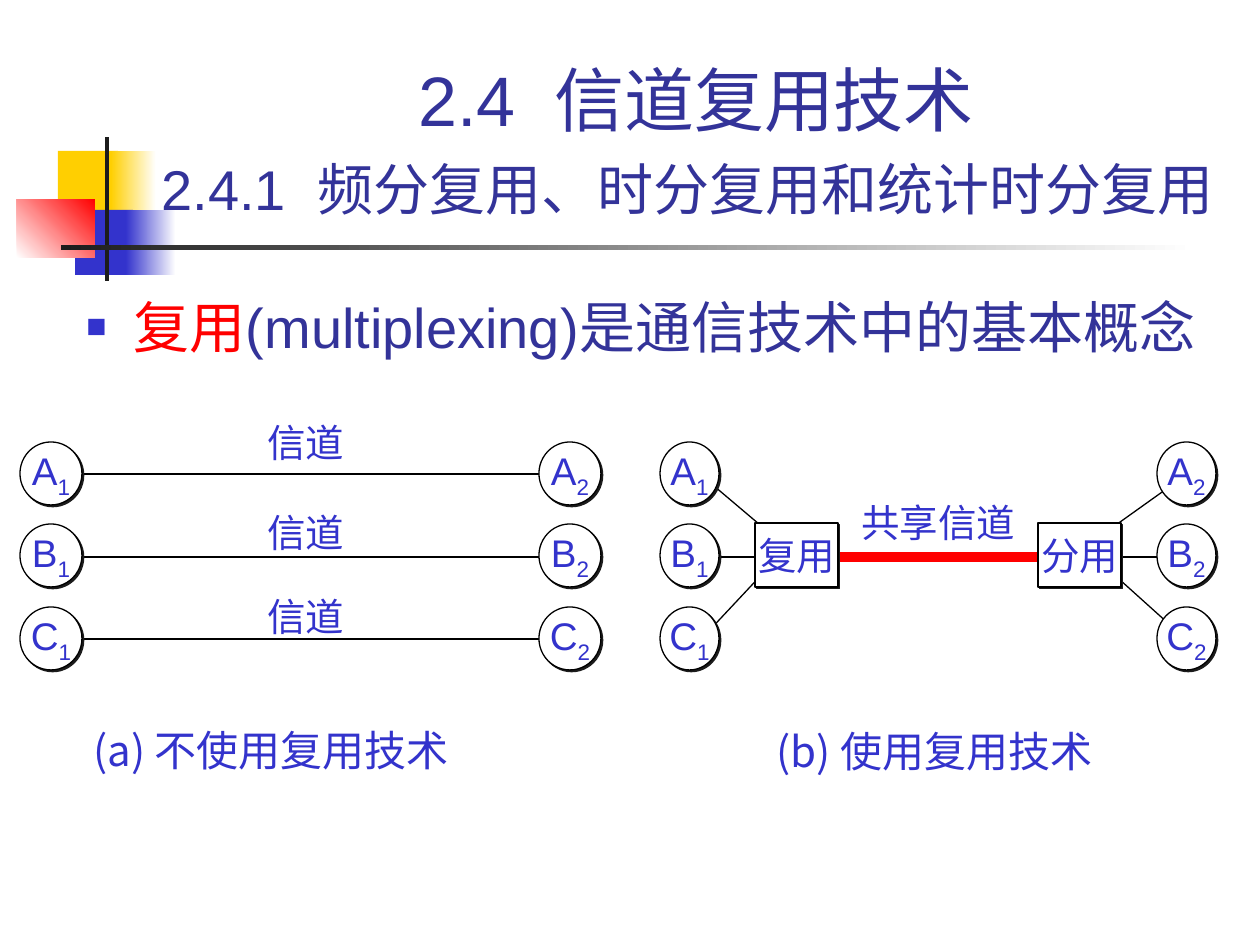
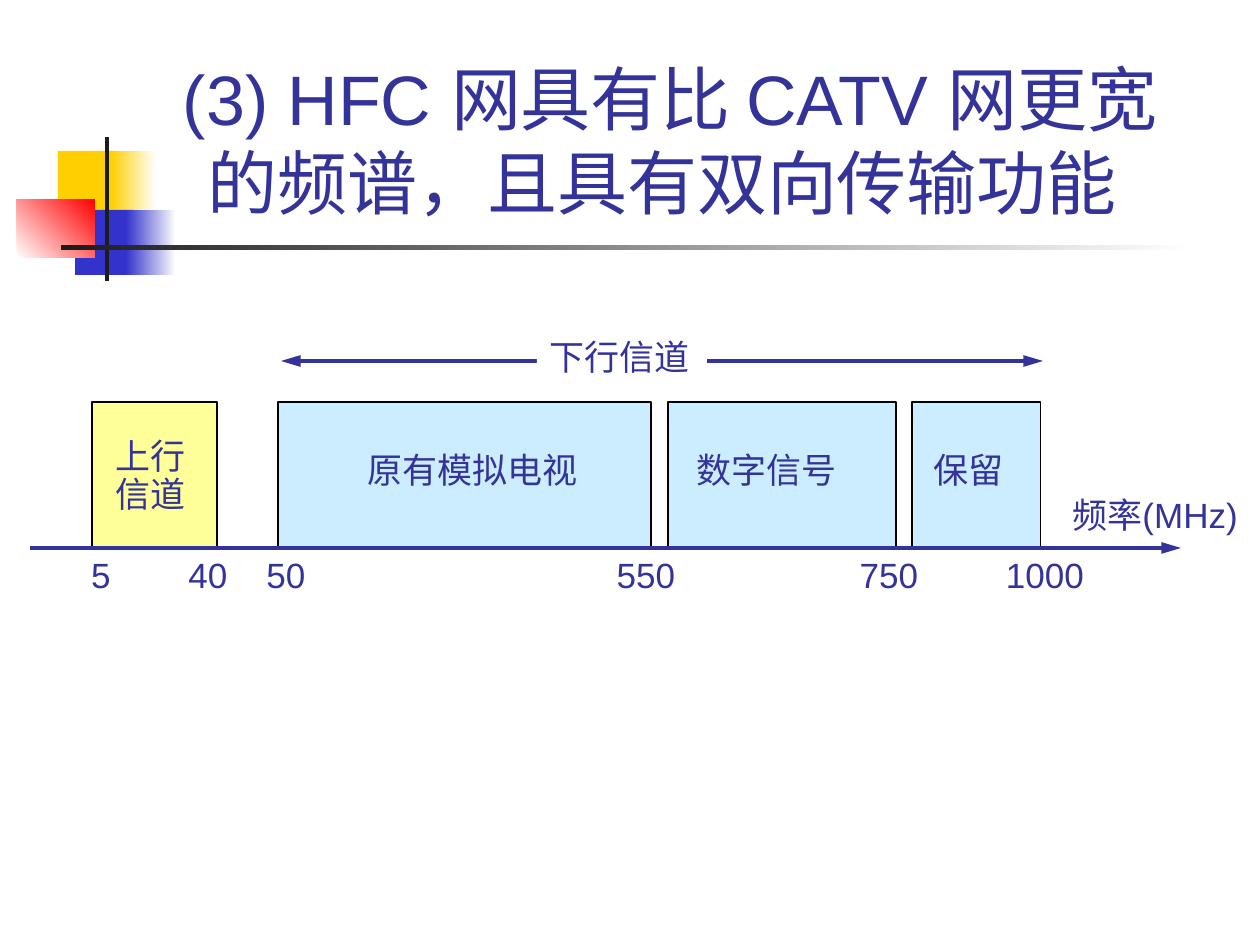
import pptx
import pptx.util
import pptx.dml.color
import pptx.enum.shapes
import pptx.enum.text
import pptx.oxml
import pptx.oxml.ns
from lxml import etree

PX = 914400 // 126
COLORS = {
    "navy": "333399", "blue": "3333CC", "yellow": "FFCF01", "red": "FF0000",
    "ink": "1C1C1C", "black": "000000", "white": "FFFFFF",
    "upstream": "FFFF99", "downstream": "CCECFF",
}
RGB = {name: pptx.dml.color.RGBColor.from_string(code) for name, code in COLORS.items()}
LATIN, CHINESE = "Arial", "Noto Sans CJK SC"
SHAPE = pptx.enum.shapes.MSO_SHAPE
ALIGN = pptx.enum.text.PP_ALIGN
ANCHOR = pptx.enum.text.MSO_ANCHOR
AUTO = pptx.enum.text.MSO_AUTO_SIZE
qn = pptx.oxml.ns.qn


def write(shape, lines, size, color, align=ALIGN.LEFT, anchor=ANCHOR.TOP,
          wrap=False, auto=AUTO.SHAPE_TO_FIT_TEXT, font=LATIN):
    """Each line is a list of (text, changes) spans."""
    frame = shape.text_frame
    frame_format = {
        "word_wrap": wrap, "auto_size": auto, "vertical_anchor": anchor,
        "margin_left": 91440, "margin_right": 91440,
        "margin_top": 45720, "margin_bottom": 45720,
    }
    for name, value in frame_format.items():
        setattr(frame, name, value)
    for index, spans in enumerate(lines):
        para = frame.paragraphs[0] if index == 0 else frame.add_paragraph()
        para.alignment = align
        for text, changes in spans:
            if text == "\n":
                para.add_line_break()
                continue
            span = para.add_run()
            span.text = text
            span.font.size = pptx.util.Pt(changes.get("size", size))
            span.font.name = font
            span.font.color.rgb = RGB[changes.get("color", color)]
            properties = span.font._element
            etree.SubElement(properties, qn("a:ea")).set("typeface", CHINESE)
            if "baseline" in changes:
                properties.set("baseline", changes["baseline"])


def draw_line(page, start, end, color="black", width=0.75, arrows=()):
    line = page.shapes.add_connector(
        pptx.enum.shapes.MSO_CONNECTOR.STRAIGHT, *[value * PX for value in start + end])
    line.line.color.rgb = RGB[color]
    line.line.width = pptx.util.Pt(width)
    for arrow in arrows:
        head = etree.SubElement(line.line._get_or_add_ln(), qn(arrow))
        head.set("type", "triangle")
        head.set("len", "lg")
    etree.SubElement(line._element.spPr, qn("a:effectLst"))


deck = pptx.Presentation()
deck.slide_width, deck.slide_height = pptx.util.Inches(10), pptx.util.Inches(7.5)
layout = deck.slide_layouts[5]

# Titles
titles = [
    ((117, 29, 1158, 202), [("2.4  信道复用技术", {}), ("\n", {}),
                            ("2.4.1  频分复用、时分复用和统计时分复用", {"size": 32}), (" ", {})]),
    ((159, 55, 1022, 175), [("(3) HFC 网具有比 CATV 网更宽的频谱，且具有双向传输功能 ", {})]),
]
pages = []
for place, spans in titles:
    page = deck.slides.add_slide(layout)
    title = page.shapes.title
    title.left, title.top, title.width, title.height = [value * PX for value in place]
    write(title, [spans], 40, "navy", ALIGN.CENTER, ANCHOR.BOTTOM, True, AUTO.NONE)
    pages.append(page)
multiplexing, spectrum = pages

# Shared corner ornament, kept on the layout
ornament = [
    ((58, 151, 60, 66), ["yellow"], 0),
    ((111, 151, 45, 66), ["yellow", "white"], 0),
    ((75, 210, 58, 65), ["blue"], 0),
    ((126, 210, 50, 65), ["blue", "white"], 0),
    ((17, 199, 78, 59), ["white", "red"], 45),
    ((105, 137, 4, 144), ["ink"], 0),
    ((61, 245, 1134, 5), ["ink", "white"], 0),
]
for index, (place, colors, angle) in enumerate(ornament):
    block = multiplexing.shapes.add_shape(SHAPE.RECTANGLE, *[value * PX for value in place])
    block.shadow.inherit = False
    block.line.fill.background()
    if len(colors) == 1:
        block.fill.solid()
        block.fill.fore_color.rgb = RGB[colors[0]]
    else:
        block.fill.gradient()
        block.fill.gradient_angle = angle
        for stop, color in zip(block.fill.gradient_stops, colors):
            stop.color.rgb = RGB[color]
    block._element.nvSpPr.cNvPr.set("id", str(100 + index))
    layout.shapes._spTree.insert(2 + index, block._element)

# Slide 1: bullet
body = multiplexing.shapes.add_textbox(74 * PX, 286 * PX, 1142 * PX, 567 * PX)
properties = body.text_frame.paragraphs[0]._p.get_or_add_pPr()
properties.set("marL", "342900")
properties.set("indent", "-342900")
bullet_color = etree.SubElement(properties, qn("a:buClr"))
etree.SubElement(bullet_color, qn("a:srgbClr")).set("val", COLORS["blue"])
for tag, name, value in [("a:buSzPct", "val", "60000"), ("a:buFont", "typeface", LATIN),
                         ("a:buChar", "char", "■")]:
    etree.SubElement(properties, qn(tag)).set(name, value)
write(body, [[("复用", {"color": "red"}), ("(multiplexing)是通信技术中的基本概念", {})]],
      32, "navy", wrap=True, auto=AUTO.NONE)

# Slide 1: channels
for y in (474, 557, 639):
    draw_line(multiplexing, (82, y), (550, y))
draw_line(multiplexing, (718, 557), (1168, 557))
draw_line(multiplexing, (825, 557), (1038, 557), "red", 6)
for node_x, box_x in ((707, 766), (1179, 1109)):
    for node_y, box_y in ((480, 530), (633, 570)):
        draw_line(multiplexing, (node_x, node_y), (box_x, box_y))

# Slide 1: stations and multiplexers
nodes = []
for x, width, digit in ((20, 62, "1"), (539, 62, "2"), (660, 59, "1"), (1157, 59, "2")):
    for letter, y in zip("ABC", (442, 524, 607)):
        nodes.append((SHAPE.OVAL, (x, y, width, 63),
                      [(letter, {}), (digit, {"baseline": "-25000"})]))
for x, label in ((755, "复用"), (1038, "分用")):
    nodes.append((SHAPE.RECTANGLE, (x, 523, 83, 64), [(label, {})]))
for kind, place, spans in nodes:
    node = multiplexing.shapes.add_shape(kind, *[value * PX for value in place])
    node.fill.solid()
    node.fill.fore_color.rgb = RGB["white"]
    node.line.color.rgb = RGB["black"]
    node.line.width = pptx.util.Pt(0.75)
    node.shadow.inherit = False
    shadow = etree.SubElement(node._element.spPr.find(qn("a:effectLst")), qn("a:outerShdw"))
    for name, value in {"dist": "17961", "dir": "2700000", "algn": "ctr"}.items():
        shadow.set(name, value)
    etree.SubElement(shadow, qn("a:srgbClr")).set("val", COLORS["ink"])
    write(node, [spans], 22, "blue", ALIGN.CENTER, ANCHOR.MIDDLE, auto=AUTO.NONE)

# Slide 1: labels and captions
labels = [((255, y, 106, 59), "信道", 22) for y in (413, 503, 587)]
labels += [
    ((849, 493, 184, 59), "共享信道", 22),
    ((81, 718, 430, 63), "(a) 不使用复用技术", 24),
    ((764, 719, 370, 63), "(b) 使用复用技术", 24),
]
for place, text, size in labels:
    box = multiplexing.shapes.add_textbox(*[value * PX for value in place])
    write(box, [[(text, {})]], size, "blue", font=CHINESE)

# Slide 2: downstream span
draw_line(spectrum, (281, 361), (1043, 361), "navy", 2.25, ("a:headEnd", "a:tailEnd"))
span_label = spectrum.shapes.add_shape(
    SHAPE.RECTANGLE, 537 * PX, 329 * PX, 170 * PX, 55 * PX)
span_label.shadow.inherit = False
span_label.fill.solid()
span_label.fill.fore_color.rgb = RGB["white"]
span_label.line.fill.background()
write(span_label, [[("下行信道", {})]], 20, "navy")

# Slide 2: frequency bands
for x, width, color in ((92, 125, "upstream"), (278, 373, "downstream"),
                        (668, 228, "downstream"), (912, 129, "downstream")):
    band = spectrum.shapes.add_shape(SHAPE.RECTANGLE, x * PX, 402 * PX, width * PX, 146 * PX)
    band.shadow.inherit = False
    band.fill.solid()
    band.fill.fore_color.rgb = RGB[color]
    band.line.color.rgb = RGB["black"]
    band.line.width = pptx.util.Pt(0.75)

# Slide 2: band names, unit and axis values
texts = [
    ((103, 433, 100, 88), ["上行", "信道"], ALIGN.LEFT),
    ((355, 442, 242, 55), ["原有模拟电视"], ALIGN.LEFT),
    ((684, 442, 172, 55), ["数字信号"], ALIGN.LEFT),
    ((921, 442, 100, 55), ["保留"], ALIGN.LEFT),
    ((1060, 487, 200, 55), ["频率(MHz)"], ALIGN.LEFT),
]
for center, value in ((101, "5"), (208, "40"), (286, "50"),
                      (646, "550"), (889, "750"), (1045, "1000")):
    texts.append(((center - 52, 547, 104, 55), [value], ALIGN.CENTER))
for place, lines, align in texts:
    box = spectrum.shapes.add_textbox(*[value * PX for value in place])
    write(box, [[(line, {})] for line in lines], 20, "navy", align)
    if len(lines) > 1:
        for para in box.text_frame.paragraphs:
            para.line_spacing = 0.9

# Slide 2: frequency axis
draw_line(spectrum, (30, 548), (1181, 548), "navy", 2.25, ("a:tailEnd",))

deck.save("out.pptx")
